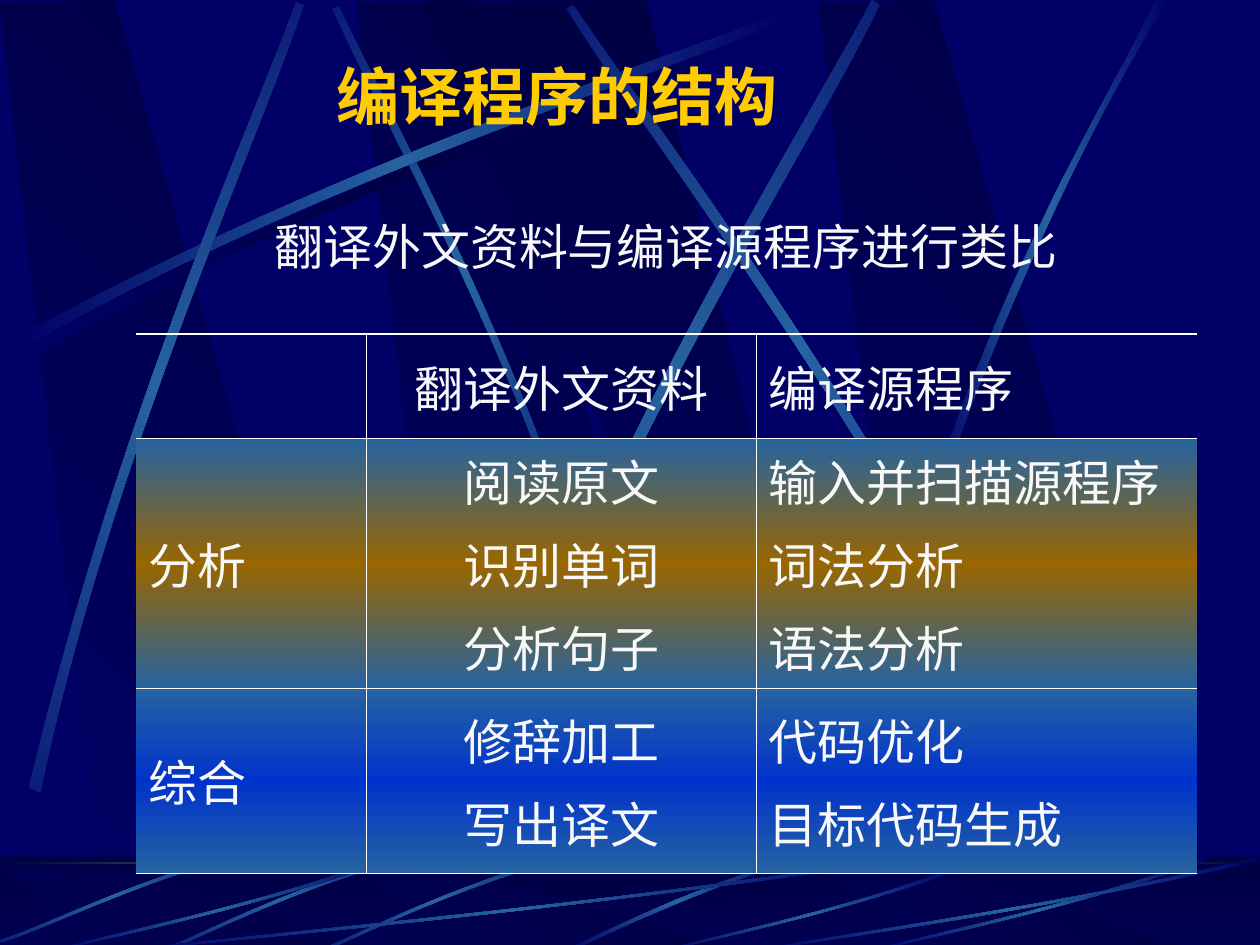
from dataclasses import dataclass
from math import cos, radians, sin

from lxml import etree
from pptx import Presentation
from pptx import util as u
from pptx.dml.color import RGBColor
from pptx.enum import shapes, text
from pptx.oxml import ns


@dataclass(frozen=True)
class Theme:
    night: str = "000066"
    shade: str = "000044"
    beam: str = "2663A0"
    horizon: str = "9CE157"
    amber: str = "996600"
    royal: str = "0033CC"
    rule: str = "FFFFFF"
    title: str = "FFCC00"
    body: str = "F8F8F8"
    title_size: int = 36
    body_size: int = 28
    title_font: str = "Noto Sans CJK SC"
    lead_font: str = "Times New Roman"
    table_font: str = "Arial"
    thin: float = 0.45
    thick: float = 1.08


def turned(point, degrees):
    x, y = point
    c, s = cos(radians(degrees)), sin(radians(degrees))
    return x * c - y * s, x * s + y * c


def add(parent, tag, **attributes):
    return etree.SubElement(parent, ns.qn(tag), attributes)


class SlideBuilder:
    def __init__(self, page, theme):
        self.page = page
        self.theme = theme
        page.background.fill.solid()
        page.background.fill.fore_color.rgb = RGBColor.from_string(theme.night)

    def gradient(self, fill, holder, colors, angle):
        fill.gradient()
        grad = holder.find(ns.qn("a:gradFill"))
        for child in list(grad):
            grad.remove(child)
        stops = add(grad, "a:gsLst")
        for i, color in enumerate(colors):
            stop = add(stops, "a:gs", pos=str(100000 * i // (len(colors) - 1)))
            add(stop, "a:srgbClr", val=color)
        add(grad, "a:lin", ang=str(angle * 60000), scaled="0")

    def plain(self, shape):
        shape.shadow.inherit = False
        shape.line.fill.background()
        return shape

    def outline(self, points, colors, angle, rotation=0):
        local = [tuple(u.Inches(v) for v in turned(p, -rotation)) for p in points]
        builder = self.page.shapes.build_freeform(*local[0], scale=1.0)
        builder.add_line_segments(local[1:], close=True)
        shape = self.plain(builder.convert_to_shape())
        half_width, half_height = shape.width / 2, shape.height / 2
        x, y = turned((shape.left + half_width, shape.top + half_height), rotation)
        shape.left, shape.top = int(x - half_width), int(y - half_height)
        shape.rotation = rotation
        self.gradient(shape.fill, shape._element.spPr, colors, angle)
        return shape

    def streak(self, edges, rotation=0, color=None):
        night = self.theme.night
        points = [p for edge in edges for p in edge]
        shape = self.outline(points, (night, color or self.theme.beam, night), 180, rotation)
        lines = list(shape._element.spPr.iter(ns.qn("a:lnTo")))
        for bend in (lines[:3], lines[4:7]):
            cubic = etree.Element(ns.qn("a:cubicBezTo"))
            bend[0].addprevious(cubic)
            for line in bend:
                cubic.append(line[0])
                line.getparent().remove(line)

    def pillars(self, top=0, scale=1):
        for points, angle in PILLARS:
            placed = [(x, top + y * scale) for x, y in points]
            self.outline(placed, (self.theme.shade, self.theme.night), angle)

    def band(self, top, height):
        return self.plain(self.page.shapes.add_shape(
            shapes.MSO_SHAPE.RECTANGLE, 0, u.Inches(top), u.Inches(10), u.Inches(height)))

    def gradient_band(self, top, height, colors, angle):
        shape = self.band(top, height)
        self.gradient(shape.fill, shape._element.spPr, colors, angle)

    def veil(self, top, height):
        shape = self.band(top, height)
        shape.fill.solid()
        shape.fill.fore_color.rgb = RGBColor.from_string(self.theme.shade)
        color = shape._element.spPr.find(ns.qn("a:solidFill"))[0]
        add(color, "a:alpha", val="50000")

    def style(self, para, font, size, color, bold=False):
        para.font.name, para.font.size, para.font.bold = font, u.Pt(size), bold
        para.font.color.rgb = RGBColor.from_string(color)

    def label(self, words, place, font, size, color, title=False):
        box = self.page.shapes.add_textbox(*map(u.Inches, place))
        frame = box.text_frame
        frame.word_wrap = True
        para = frame.paragraphs[0]
        para.text = words
        if title:
            frame.vertical_anchor = text.MSO_ANCHOR.MIDDLE
            para.alignment = text.PP_ALIGN.CENTER
            para.line_spacing = 0.9
        self.style(para, font, size, color, bold=title)

    def border(self, cell, side, width):
        line = add(cell._tc.get_or_add_tcPr(), f"a:ln{side}", w=str(u.Pt(width)))
        if width:
            add(add(line, "a:solidFill"), "a:srgbClr", val=self.theme.rule)
        else:
            add(line, "a:noFill")

    def table(self, place, widths, heights, rows, accents):
        theme = self.theme
        table = self.page.shapes.add_table(
            len(rows), len(widths), *map(u.Inches, place)).table
        table.first_row = table.horz_banding = False
        for column, width in zip(table.columns, widths):
            column.width = u.Inches(width)
        for row, height in zip(table.rows, heights):
            row.height = u.Inches(height)
        for r, (row, accent) in enumerate(zip(rows, accents)):
            for c, lines in enumerate(row):
                cell = table.cell(r, c)
                cell.vertical_anchor = text.MSO_ANCHOR.MIDDLE
                self.border(cell, "L", theme.thin if c else 0)
                self.border(cell, "R", theme.thin if c < len(widths) - 1 else 0)
                self.border(cell, "T", theme.thin if r else theme.thick)
                self.border(cell, "B", theme.thin)
                if accent:
                    self.gradient(cell.fill, cell._tc.tcPr, (theme.beam, accent, theme.beam), 90)
                else:
                    cell.fill.background()
                if not lines:
                    continue
                cell.text = "\n".join(lines)
                for i, para in enumerate(cell.text_frame.paragraphs):
                    if i:
                        para.space_before = u.Pt(7)
                    para.alignment = text.PP_ALIGN.CENTER if c == 1 else text.PP_ALIGN.LEFT
                    self.style(para, theme.table_font, theme.body_size, theme.body)


PILLARS = [
    ([(x, 7.5), (x + 2.16, 7.52), (x + 0.05, 0), (x - 0.86, 0.02)], 135)
    for x in (3.69, 0.86, 7.36)
] + [([(3.33, 0.01), (6.58, 7.51), (6.94, 7.51), (5.13, 0)], 90)]

ARC = (((0.14, 2.67), (2.78, 1.25), (5.18, 0.51), (6.2, 0.1)),
       ((6.23, 0.16), (5.22, 0.61), (2.48, 1.43), (0.17, 2.77)))
ARC_SHADOW = [[(x + 0.06, y + 0.08) for x, y in edge] for edge in ARC]

SKY_STREAKS = [
    ((((4.6, 4.36), (3.91, 2.34), (3.02, 0.77), (2.69, 0.05)),
      ((2.64, 0.07), (2.95, 0.79), (3.98, 2.58), (4.54, 4.39))), 45),
    (ARC, 0),
    ((((0.23, 6.25), (0.93, 3.34), (1.97, 1.05), (2.35, 0.02)),
      ((2.41, 0.04), (2.07, 1.08), (0.86, 3.68), (0.32, 6.29))), 311.7),
    ((((3.85, 6.14), (4.98, 3.2), (6.38, 1.02), (6.92, 0)),
      ((6.98, 0.04), (6.49, 1.08), (4.86, 3.55), (3.94, 6.21))), 321.6),
    ((((8.06, 5.6), (6.7, 2.93), (5.16, 0.95), (4.55, 0.04)),
      ((4.5, 0.07), (5.07, 1.01), (6.85, 3.25), (7.99, 5.66))), 34.8),
    ((((7.38, 3.93), (8.14, 1.73), (8.88, 0.66), (9.17, 0)),
      ((9.27, 0), (8.36, 1.45), (7.69, 3.22), (7.44, 3.97))), 0),
]

FLOOR_STREAKS = [
    ((((6.27, 6.82), (5.37, 7.09), (4.77, 7.42), (4.48, 7.54)),
      ((4.53, 7.55), (4.9, 7.37), (5.71, 7), (6.28, 6.85))), 0),
] + [
    ((((x, y), (x - 0.87, y + 0.25), (x - 1.55, y + 0.6), (x - 1.86, y + dy)),
      ((x - 1.85, y + dy + 0.02), (x - 1.54, y + 0.62), (x - 0.77, y + 0.23), (x + 0.02, y + 0.03))), 314.9)
    for x, y, dy in ((4.42, 6.8, 0.73), (3.17, 6.8, 0.73), (1.86, 6.77, 0.69))
] + [
    ((((x + w, y + 0.03), (x + 0.57 * w, y + 0.57 * h), (x + 0.17 * w, y + 0.85 * h), (x + 0.01, y + h)),
      ((x, y + h - 0.01), (x + 0.17 * w, y + 0.81 * h), (x + 0.62 * w, y + 0.51 * h), (x + w - 0.02, y))), 0)
    for x, y, w, h in ((1, 6.8, 6.17, 0.75), (0.42, 6.8, 2.67, 0.75), (5.27, 6.89, 2.31, 0.66),
                       (6.92, 6.8, 2.67, 0.75), (6, 6.8, 4, 0.75))
]

ROWS = [
    ([], ["翻译外文资料"], ["编译源程序"]),
    (["分析"], ["阅读原文", "识别单词", "分析句子"], ["输入并扫描源程序", "词法分析", "语法分析"]),
    (["综合"], ["修辞加工", "写出译文"], ["代码优化", "目标代码生成"]),
]


def main():
    theme = Theme()
    deck = Presentation()
    deck.slide_width, deck.slide_height = u.Inches(10), u.Inches(7.5)
    slide = SlideBuilder(deck.slides.add_slide(deck.slide_layouts[6]), theme)
    slide.pillars()
    slide.streak(ARC_SHADOW, color=theme.shade)
    for edges, rotation in SKY_STREAKS:
        slide.streak(edges, rotation)
    slide.gradient_band(6.8, 0.75, (theme.shade, theme.night), 90)
    slide.pillars(top=6.88, scale=0.09)
    slide.veil(6.79, 0.75)
    for edges, rotation in FLOOR_STREAKS:
        slide.streak(edges, rotation)
    slide.gradient_band(6.84, 0.02, (theme.shade, theme.horizon, theme.shade), 180)
    slide.table((1.08, 2.65, 8.42, 4), (1.83, 3.09, 3.5), (0.83, 1.7, 1.47),
                ROWS, (None, theme.amber, theme.royal))
    slide.label("编译程序的结构", (0.17, 0.17, 8.5, 1.25), theme.title_font,
                theme.title_size, theme.title, title=True)
    slide.label("翻译外文资料与编译源程序进行类比", (2.08, 1.67, 6.5, 0.57),
                theme.lead_font, theme.body_size, theme.body)
    deck.save("out.pptx")


if __name__ == "__main__":
    main()
